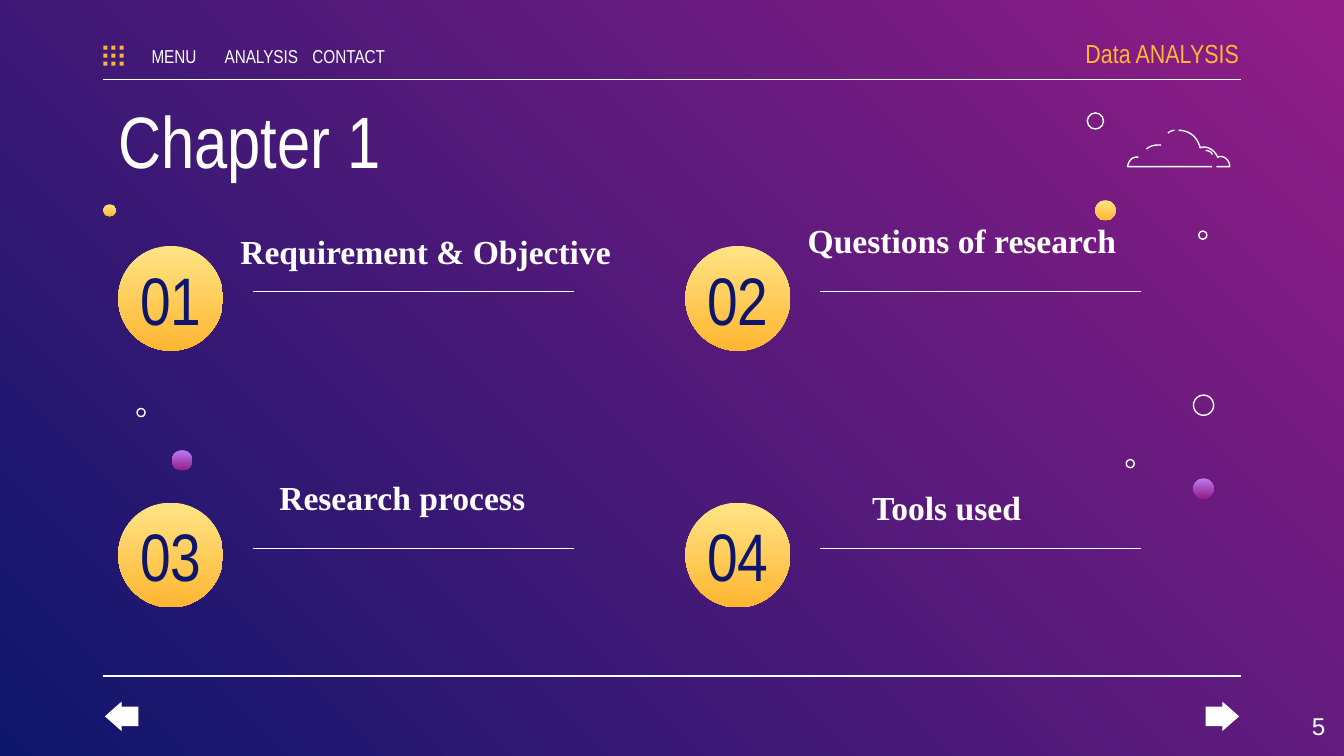
from lxml.etree import SubElement
from pptx import Presentation
from pptx.dml.color import RGBColor
from pptx.enum.shapes import MSO_CONNECTOR, MSO_SHAPE as Shape
from pptx.enum.text import MSO_ANCHOR as Anchor, MSO_AUTO_SIZE as AutoSize, PP_ALIGN as Align
from pptx.oxml.ns import qn
from pptx.util import Inches, Pt

WHITE = RGBColor(0xFF, 0xFF, 0xFF)
NAVY = RGBColor(0x0E, 0x16, 0x6C)
MAGENTA = RGBColor(0x92, 0x1D, 0x87)
LILAC = RGBColor(0xBE, 0x7A, 0xF3)
AMBER = RGBColor(0xFF, 0xB6, 0x32)
CREAM = RGBColor(0xFF, 0xE4, 0x85)
GOLD_BLEND = (CREAM, AMBER)
PURPLE_BLEND = (LILAC, MAGENTA)
NARROW = "Arial Narrow"
SERIF = "Times New Roman"

# Number, heading, circle left and top, heading frame, heading format
CHAPTER_PARTS = [
    ("01", "Requirement & Objective", 0.88, 1.83, (1.69, 1.62, 3.03, 0.48), {}),
    ("02", "Questions of research", 5.1, 1.83, (5.41, 1.49, 3.71, 0.48),
     {"insets": (0.6, 0.1, 0.1, 0.1), "spacing": 1.15, "before": 7.5}),
    ("03", "Research process", 0.88, 3.74, (1.98, 3.45, 3.03, 0.48), {}),
    ("04", "Tools used", 5.1, 3.74, (6.39, 3.52, 3.1, 0.48), {}),
]

# Left, top, diameter, colours of the blend
DOTS = [
    (8.15, 1.49, 0.15, GOLD_BLEND),
    (0.77, 1.52, 0.09, GOLD_BLEND),
    (8.88, 3.56, 0.15, PURPLE_BLEND),
    (1.28, 3.35, 0.15, PURPLE_BLEND),
]

# Left, top, diameter
RINGS = [(8.09, 0.84, 0.12), (8.88, 2.94, 0.15), (8.92, 1.72, 0.06),
         (8.38, 3.42, 0.06), (1.02, 3.04, 0.06)]

# Each stroke: a start point, then curves (three points) or straight lines (one)
CLOUD_STROKES = [
    [(8.77, 0.97), [(8.85, 0.97), (8.91, 1.02), (8.93, 1.1)],
     [(8.98, 1.08), (9.04, 1.12), (9.06, 1.17)],
     [(9.1, 1.15), (9.15, 1.19), (9.15, 1.24)], [(9.05, 1.24)]],
    [(8.74, 0.97), [(8.74, 0.97), (8.71, 0.97), (8.69, 0.99)]],
    [(9.02, 1.24), [(8.39, 1.24)], [(8.39, 1.24), (8.4, 1.16), (8.47, 1.17)]],
    [(8.97, 1.12), [(8.97, 1.12), (9.01, 1.12), (9.02, 1.15)]],
    [(8.64, 1.08), [(8.64, 1.08), (8.57, 1.07), (8.53, 1.11)]],
]


def blend(fill, colors, angle):
    fill.gradient()
    fill.gradient_angle = angle
    for stop, color in zip(fill.gradient_stops, colors):
        stop.color.rgb = color


def write_text(box, text, *, size, font=NARROW, color=WHITE, bold=False,
               align=Align.LEFT, anchor=Anchor.TOP, insets=(0.1, 0.1, 0.1, 0.1),
               spacing=None, before=0):
    frame = box.text_frame
    frame.word_wrap = True
    frame.auto_size = AutoSize.NONE
    frame.vertical_anchor = anchor
    (frame.margin_left, frame.margin_top,
     frame.margin_right, frame.margin_bottom) = map(Inches, insets)
    para = frame.paragraphs[0]
    para.alignment = align
    para.space_before = Pt(before)
    para.line_spacing = spacing
    span = para.add_run()
    span.text = text
    span.font.size = Pt(size)
    span.font.name = font
    span.font.bold = bold
    span.font.color.rgb = color


def add_text(page, text, place, **text_format):
    box = page.shapes.add_textbox(*map(Inches, place))
    write_text(box, text, **text_format)


def add_title(page, text, place, **text_format):
    title = page.shapes.title
    title.left, title.top, title.width, title.height = map(Inches, place)
    write_text(title, text, **text_format)


def add_rule(page, left, right, top):
    rule = page.shapes.add_connector(
        MSO_CONNECTOR.STRAIGHT, Inches(left), Inches(top), Inches(right), Inches(top))
    rule.line.color.rgb = WHITE
    rule.line.width = Pt(0.75)
    SubElement(rule.element.spPr, qn("a:effectLst"))


def paint(shape, fill=None, line=None):
    """Fill with a colour, a pair of colours to blend, or nothing."""
    shape.shadow.inherit = False
    if fill is None:
        shape.fill.background()
    elif isinstance(fill, RGBColor):
        shape.fill.solid()
        shape.fill.fore_color.rgb = fill
    else:
        blend(shape.fill, fill, 270)
    if line is None:
        shape.line.fill.background()
    else:
        shape.line.color.rgb = line
        shape.line.width = Pt(0.75)


def add_preset(page, kind, place, **colors):
    shape = page.shapes.add_shape(kind, *map(Inches, place))
    paint(shape, **colors)
    return shape


def curve_points(start, first, second, end, steps=12):
    for step in range(1, steps + 1):
        t = step / steps
        weights = ((1 - t) ** 3, 3 * t * (1 - t) ** 2, 3 * t ** 2 * (1 - t), t ** 3)
        yield tuple(sum(weight * point[axis] for weight, point
                        in zip(weights, (start, first, second, end)))
                    for axis in (0, 1))


def add_stroke(page, start, segments):
    points = [start]
    for segment in segments:
        points += curve_points(points[-1], *segment) if len(segment) == 3 else segment
    points = [(Inches(x), Inches(y)) for x, y in points]
    builder = page.shapes.build_freeform(*points[0])
    builder.add_line_segments(points[1:], close=False)
    paint(builder.convert_to_shape(), line=WHITE)


def add_arrow(page, kind, left):
    arrow = add_preset(page, kind, (left, 5.22, 0.25, 0.22), fill=WHITE)
    arrow.adjustments[0] = 0.66
    arrow.adjustments[1] = 0.57


def add_chapter_part(page, number, heading, left, top, place, heading_format):
    add_preset(page, Shape.OVAL, (left, top, 0.78, 0.78), fill=GOLD_BLEND)
    add_rule(page, left + 1, left + 3.39, top + 0.34)
    add_text(page, heading, place, size=18, font=SERIF, bold=True, **heading_format)
    add_text(page, number, (left, top + 0.2, 0.78, 0.38), size=36, color=NAVY,
             align=Align.CENTER, anchor=Anchor.MIDDLE)


def add_header(page):
    for column in range(3):
        for row in range(3):
            add_preset(page, Shape.RECTANGLE,
                       (0.77 + 0.06 * column, 0.34 + 0.06 * row, 0.03, 0.03), fill=AMBER)
    for index, label in enumerate(("MENU", "ANALYSIS", "CONTACT")):
        add_text(page, label, (1.01 + 0.65 * index, 0.3, 0.57, 0.23), size=10,
                 align=Align.CENTER, anchor=Anchor.MIDDLE, insets=(0, 0.1, 0, 0.1))
    add_text(page, "Data ANALYSIS", (7.72, 0.23, 1.5, 0.33), size=14, color=AMBER,
             align=Align.RIGHT, anchor=Anchor.MIDDLE, insets=(0.1, 0.1, 0, 0.1))


def main():
    # Widescreen page, 16 by 9
    deck = Presentation()
    deck.slide_width = Inches(10)
    deck.slide_height = deck.slide_width * 9 // 16
    page = deck.slides.add_slide(deck.slide_layouts[5])
    blend(page.background.fill, (MAGENTA, NAVY), 225)

    # Header and footer rules, menu and title
    for top in (0.59, 5.03):
        add_rule(page, 0.77, 9.23, top)
    add_header(page)
    add_title(page, "Chapter 1", (0.78, 0.61, 8.44, 0.66), size=39)

    # Numbered parts of the chapter
    for part in CHAPTER_PARTS:
        add_chapter_part(page, *part)

    # Decoration: dots, rings and the cloud
    for left, top, size, colors in DOTS:
        add_preset(page, Shape.OVAL, (left, top, size, size), fill=colors)
    for left, top, size in RINGS:
        add_preset(page, Shape.OVAL, (left, top, size, size), line=WHITE)
    for start, *segments in CLOUD_STROKES:
        add_stroke(page, start, segments)

    # Footer: arrows and page number
    add_arrow(page, Shape.LEFT_ARROW, 0.78)
    add_arrow(page, Shape.RIGHT_ARROW, 8.97)
    add_text(page, "5", (9.36, 5.19, 0.6, 0.43), size=13, font="Arial", align=Align.RIGHT)

    deck.save("out.pptx")


if __name__ == "__main__":
    main()
